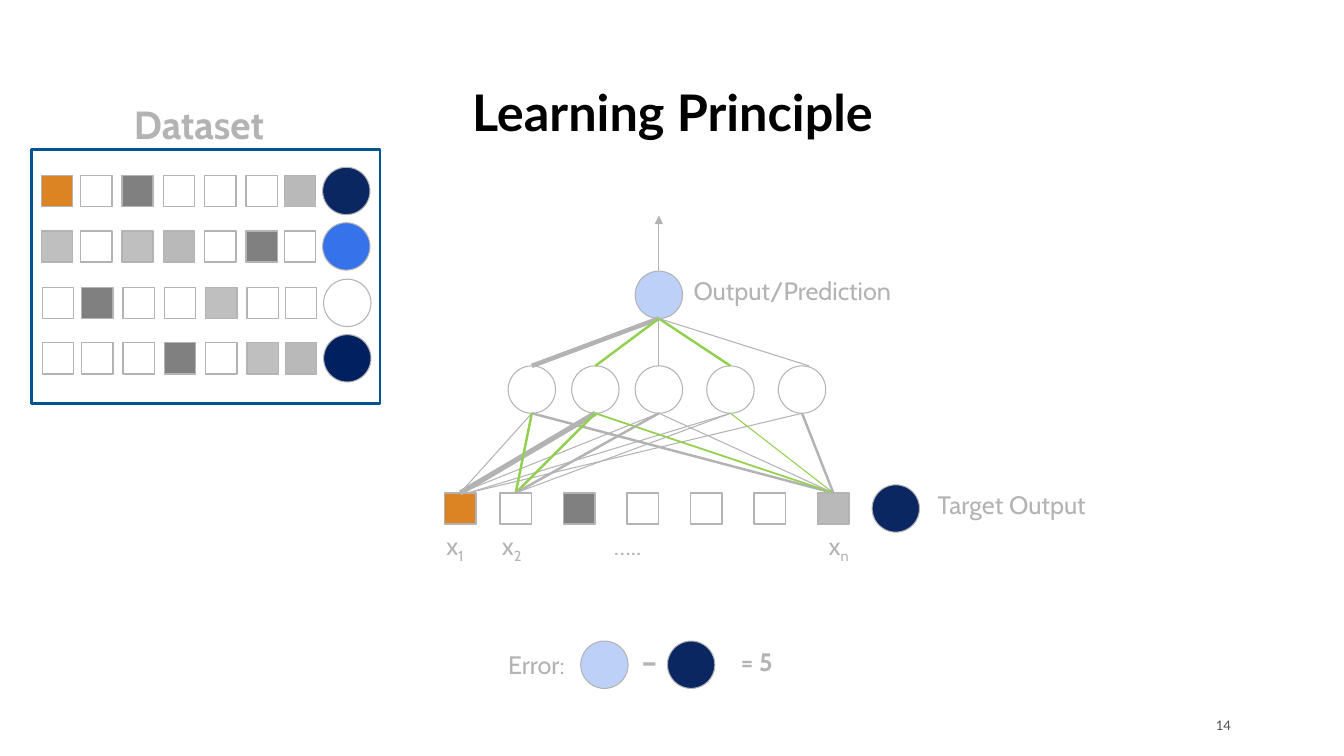
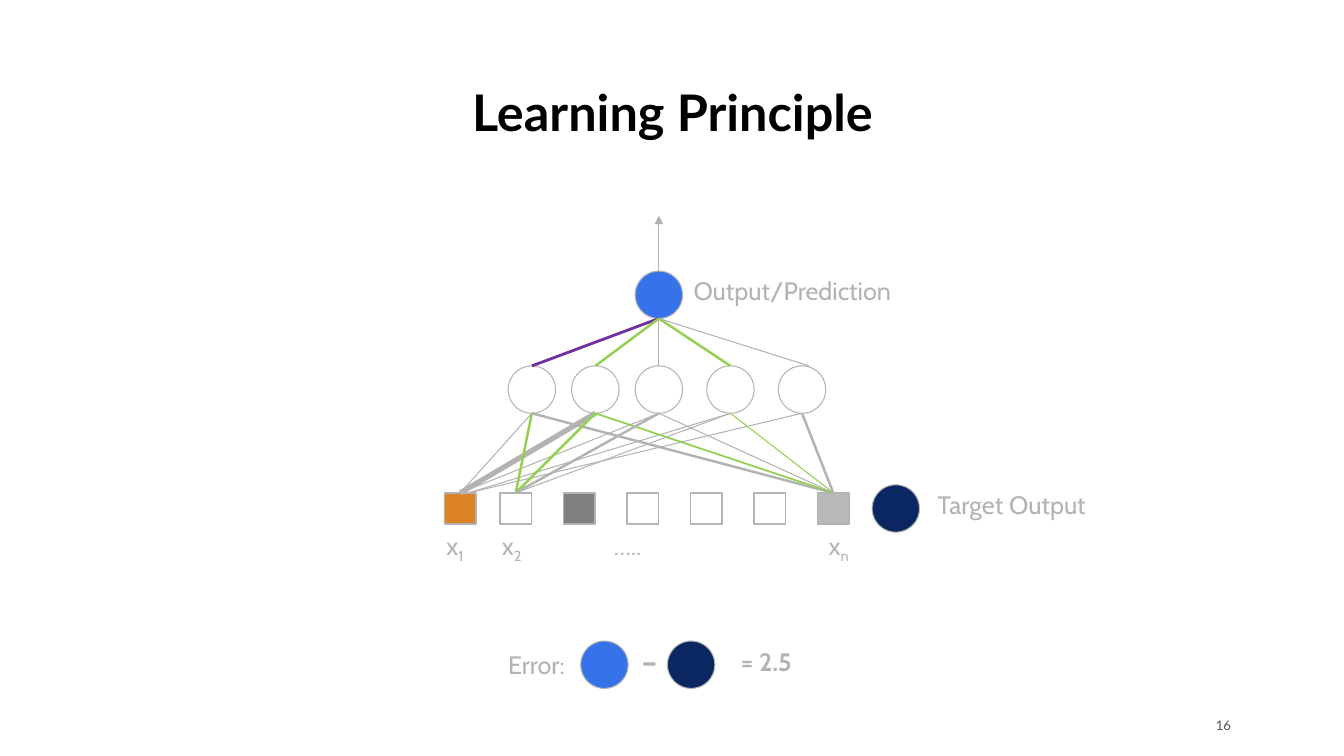
from dataclasses import dataclass

import pptx
import pptx.dml.color
import pptx.enum.shapes
import pptx.enum.text
import pptx.oxml.ns
import pptx.util
from lxml import etree

EMU_PER_PX = 9144  # 100 px to the inch


@dataclass(frozen=True)
class Theme:
    body_font: str = "Cabin"
    title_font: str = "Lato"
    title_size: float = 36
    heading_size: float = 28
    label_size: float = 18
    number_size: float = 9.4
    thin: float = 0.75
    square_line: float = 1
    frame_line: float = 2
    title: str = "000000"
    number: str = "505050"
    gray: str = "B3B3B3"
    green: str = "92D050"
    purple: str = "7030A0"
    frame: str = "005492"
    white: str = "FFFFFF"
    orange: str = "DC8424"
    dark: str = "808080"
    silver: str = "B9B9B9"
    light: str = "BFBFBF"
    navy: str = "0A2761"
    midnight: str = "002060"
    blue: str = "3673EB"
    pale_blue: str = "BCD0F8"


T = Theme()
SQUARE, CIRCLE = 31, 47
OUTPUT_LEFT, OUTPUT_TOP = 630, 269
HIDDEN_LEFTS, HIDDEN_TOP = (504, 567, 630, 701, 772), 363
INPUT_LEFTS, INPUT_TOP = (441, 496, 559, 622, 685, 748, 811), 489
SAMPLE = (T.orange, T.white, T.dark, T.white, T.white, T.white, T.silver)

# input, hidden unit, width, colour
INPUT_WEIGHTS = (
    (0, 0, T.thin, T.gray), (0, 1, 3.75, T.gray), (0, 2, T.thin, T.gray),
    (0, 3, T.thin, T.gray), (0, 4, T.thin, T.gray),
    (6, 0, 1.75, T.gray), (6, 1, 1.25, T.green), (6, 2, T.thin, T.gray),
    (6, 3, T.thin, T.green), (6, 4, 1.75, T.gray),
    (1, 0, 1.75, T.green), (1, 1, 1.75, T.green), (1, 2, 1.75, T.gray),
    (1, 3, T.thin, T.gray),
)
# width and colour for each hidden unit after the first
OUTPUT_WEIGHTS = ((1.75, T.green), (T.thin, T.gray), (1.75, T.green), (T.thin, T.gray))

DATASET_LEFTS, DATASET_TARGET_LEFT = (41, 80, 121, 162, 203, 244, 282), 320
DATASET = (
    (SAMPLE, T.navy),
    ((T.light, T.white, T.light, T.silver, T.white, T.dark, T.white), T.blue),
    ((T.white, T.dark, T.white, T.white, T.light, T.white, T.white), T.white),
    ((T.white, T.white, T.white, T.dark, T.white, T.light, T.silver), T.midnight),
)


def px(length):
    return pptx.util.Emu(round(length * EMU_PER_PX))


def rgb(colour):
    return pptx.dml.color.RGBColor.from_string(colour)


def add_text(slide, box, text, size=T.label_size, colour=T.gray, font=T.body_font,
             bold=False, subscript=None, wrap=True):
    frame = slide.shapes.add_textbox(*map(px, box)).text_frame
    frame.word_wrap = wrap
    paragraph = frame.paragraphs[0]
    paragraph.font.name = font
    paragraph.font.size = pptx.util.Pt(size)
    paragraph.font.bold = bold
    paragraph.font.color.rgb = rgb(colour)
    paragraph.add_run().text = text
    if subscript:
        lowered = paragraph.add_run()
        lowered.text = subscript
        lowered._r.get_or_add_rPr().set("baseline", "-25000")
    return frame


def add_shape(slide, kind, box, fill, line, width):
    shape = slide.shapes.add_shape(kind, *map(px, box))
    shape.shadow.inherit = False
    if fill:
        shape.fill.solid()
        shape.fill.fore_color.rgb = rgb(fill)
    else:
        shape.fill.background()
    shape.line.color.rgb = rgb(line)
    shape.line.width = pptx.util.Pt(width)
    return shape


def add_square(slide, left, top, fill):
    return add_shape(slide, pptx.enum.shapes.MSO_SHAPE.RECTANGLE,
                     (left, top, SQUARE, SQUARE), fill, T.gray, T.square_line)


def add_circle(slide, left, top, fill):
    return add_shape(slide, pptx.enum.shapes.MSO_SHAPE.OVAL,
                     (left, top, CIRCLE, CIRCLE), fill, T.gray, T.thin)


def add_line(slide, start, end, width=T.thin, colour=T.gray, from_top_of=None, arrow=False):
    """Draw a line, joined at its start to the top of a shape if one is given."""
    line = slide.shapes.add_connector(
        pptx.enum.shapes.MSO_CONNECTOR.STRAIGHT, *map(px, (*start, *end)))
    line.line.color.rgb = rgb(colour)
    line.line.width = pptx.util.Pt(width)
    if arrow:
        etree.SubElement(line.line._get_or_add_ln(),
                         pptx.oxml.ns.qn("a:tailEnd"), type="triangle")
    etree.SubElement(line._element.spPr, pptx.oxml.ns.qn("a:effectLst"))
    if from_top_of is not None:
        line.begin_connect(from_top_of, 0)


def add_title_and_number(slide, number):
    title = add_text(slide, (61, 79, 1212, 72), "Learning Principle", T.title_size,
                     T.title, T.title_font, bold=True)
    title.margin_top = title.margin_bottom = px(10)
    title.vertical_anchor = pptx.enum.text.MSO_ANCHOR.BOTTOM
    title.paragraphs[0].alignment = pptx.enum.text.PP_ALIGN.CENTER
    title.paragraphs[0].line_spacing = 0.9
    footer = add_text(slide, (1186, 709, 35, 20), number, T.number_size,
                      T.number, T.title_font)
    footer.margin_left = footer.margin_right = footer.margin_top = footer.margin_bottom = 0
    footer.vertical_anchor = pptx.enum.text.MSO_ANCHOR.MIDDLE
    footer.paragraphs[0].alignment = pptx.enum.text.PP_ALIGN.RIGHT


def add_network(slide, prediction, first_weight):
    output = add_circle(slide, OUTPUT_LEFT, OUTPUT_TOP, prediction)
    hidden = [add_circle(slide, left, HIDDEN_TOP, T.white) for left in HIDDEN_LEFTS]
    inputs = [add_square(slide, left, INPUT_TOP, fill)
              for left, fill in zip(INPUT_LEFTS, SAMPLE)]
    hidden_centres = [left + CIRCLE / 2 for left in HIDDEN_LEFTS]
    output_centre = OUTPUT_LEFT + CIRCLE / 2

    for source, unit, width, colour in INPUT_WEIGHTS:
        # the flattest lines leave the first input right of its middle
        off_middle = source == 0 and unit >= 3
        start = (INPUT_LEFTS[source] + SQUARE / 2 + 8 * off_middle, INPUT_TOP)
        add_line(slide, start, (hidden_centres[unit], HIDDEN_TOP + CIRCLE), width, colour,
                 None if off_middle else inputs[source])

    output_bottom = (output_centre, OUTPUT_TOP + CIRCLE)
    for unit, (width, colour) in enumerate((first_weight, *OUTPUT_WEIGHTS)):
        last = unit == len(hidden) - 1
        add_line(slide, (hidden_centres[unit] + 7 * last, HIDDEN_TOP), output_bottom,
                 width, colour, None if last else hidden[unit])
    add_line(slide, (output_centre, OUTPUT_TOP), (output_centre, 214),
             from_top_of=output, arrow=True)

    for left, subscript in ((433, "1"), (488, "2"), (812, "n")):
        add_text(slide, (left, 521, 40, 40), "x", subscript=subscript, wrap=False)
    add_text(slide, (599, 521, 196, 40), "…..")
    add_text(slide, (678, 268, 225, 40), "Output/Prediction")
    add_circle(slide, 865, 481, T.navy)
    add_text(slide, (920, 481, 225, 40), "Target Output")


def add_error(slide, prediction, error):
    add_text(slide, (494, 639, 98, 40), "Error:")
    add_circle(slide, 576, 636, prediction)
    add_text(slide, (626, 626, 39, 57), "-", T.heading_size)
    add_circle(slide, 662, 636, T.navy)
    add_text(slide, (725, 636, 225, 40), f"= {error}", bold=True)


def add_dataset(slide):
    add_text(slide, (123, 95, 225, 57), "Dataset", T.heading_size, bold=True)
    for row, (features, target) in enumerate(DATASET):
        top = round(174 + 55.4 * row)
        shift = row // 2
        for left, fill in zip(DATASET_LEFTS, features):
            add_square(slide, left + shift, top, fill)
        add_circle(slide, DATASET_TARGET_LEFT + shift, top - 8, target)
    add_shape(slide, pptx.enum.shapes.MSO_SHAPE.RECTANGLE, (31, 148, 346, 252),
              None, T.frame, T.frame_line)


def add_learning_slide(deck, number, prediction, first_weight, error):
    slide = deck.slides.add_slide(deck.slide_layouts[6])
    add_title_and_number(slide, number)
    add_network(slide, prediction, first_weight)
    add_error(slide, prediction, error)
    return slide


def main():
    deck = pptx.Presentation()
    deck.slide_width, deck.slide_height = px(1333), px(750)
    before = add_learning_slide(deck, "14", T.pale_blue, (3.25, T.gray), "5")
    add_dataset(before)
    add_learning_slide(deck, "16", T.blue, (2, T.purple), "2.5")
    deck.save("out.pptx")


if __name__ == "__main__":
    main()
